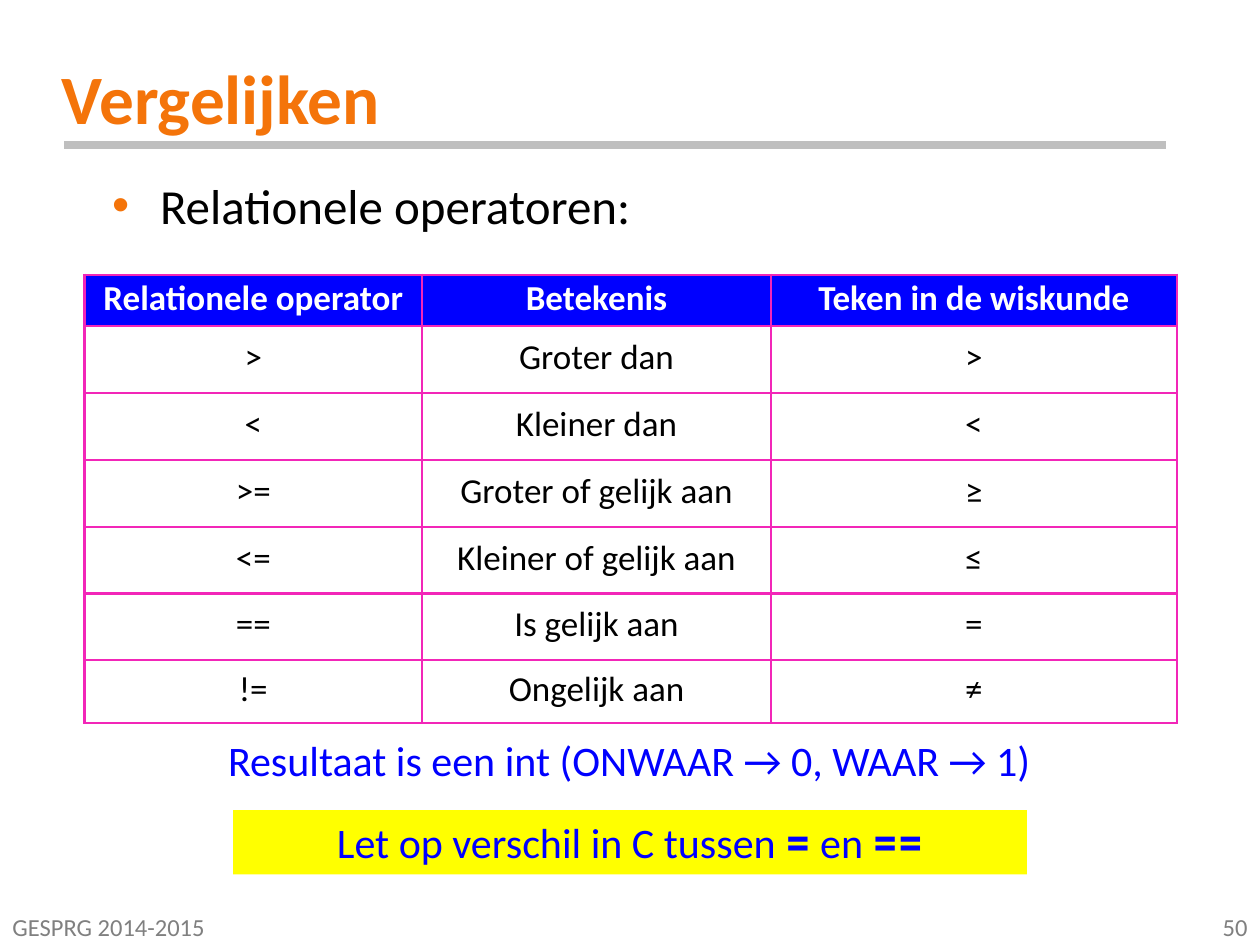
from lxml import etree
from pptx import Presentation
from pptx import util as u
from pptx.dml.color import RGBColor
from pptx.enum import shapes, text
from pptx.oxml import ns

ORANGE = RGBColor(0xF4, 0x74, 0x0A)
BLUE = RGBColor(0x00, 0x00, 0xFF)
YELLOW = RGBColor(0xFF, 0xFF, 0x00)
PINK = RGBColor(0xF2, 0x26, 0xB8)
SILVER = RGBColor(0xBF, 0xBF, 0xBF)
GRAY = RGBColor(0x80, 0x80, 0x80)
BLACK = RGBColor(0x00, 0x00, 0x00)
WHITE = RGBColor(0xFF, 0xFF, 0xFF)

FONT = "Calibri"
CODE_FONT = "Noto Sans Mono"
COLUMN_WIDTHS = [2.68, 2.77, 3.22]
ROW_HEIGHTS = [0.4] + [0.53] * 5 + [0.5]
OPERATORS = [
    ("Relationele operator", "Betekenis", "Teken in de wiskunde"),
    (">", "Groter dan", ">"),
    ("<", "Kleiner dan", "<"),
    (">=", "Groter of gelijk aan", "≥"),
    ("<=", "Kleiner of gelijk aan", "≤"),
    ("==", "Is gelijk aan", "="),
    ("!=", "Ongelijk aan", "≠"),
]


def add_element(parent, tag, **attributes):
    return etree.SubElement(parent, ns.qn(tag), attributes)


def add_run(paragraph, content, size, color, bold=False, font=FONT):
    run = paragraph.add_run()
    run.text = content
    run.font.name = font
    run.font.size = u.Pt(size)
    run.font.bold = bold
    run.font.color.rgb = color


def place(shape, left, top, width, height):
    shape.left, shape.top = u.Inches(left), u.Inches(top)
    shape.width, shape.height = u.Inches(width), u.Inches(height)


def add_title(slide, content):
    title = slide.shapes.title
    place(title, 0.39, 0.39, 8.18, 0.75)
    title.text_frame.vertical_anchor = text.MSO_ANCHOR.MIDDLE
    paragraph = title.text_frame.paragraphs[0]
    paragraph.alignment = text.PP_ALIGN.LEFT
    add_run(paragraph, content, 39.6, ORANGE, bold=True)


def add_rule(slide):
    rule = slide.shapes.add_connector(
        shapes.MSO_CONNECTOR.STRAIGHT,
        u.Inches(0.51), u.Inches(1.15), u.Inches(9.25), u.Inches(1.15))
    rule.line.color.rgb = SILVER
    rule.line.width = u.Pt(4.5)
    add_element(rule._element.spPr, "a:effectLst")


def add_bullet(slide, content):
    body = slide.placeholders[1]
    place(body, 0.79, 1.34, 9.21, 0.6)
    paragraph = body.text_frame.paragraphs[0]
    properties = paragraph._p.get_or_add_pPr()
    indent = u.Inches(0.38)
    properties.set("marL", str(indent))
    properties.set("indent", str(-indent))
    bullet_color = add_element(properties, "a:buClr")
    add_element(bullet_color, "a:srgbClr", val=str(ORANGE))
    add_element(properties, "a:buFont", typeface="Arial")
    add_element(properties, "a:buChar", char="•")
    paragraph.space_before = u.Pt(0)
    add_run(paragraph, content, 28, BLACK)


def add_borders(cell):
    properties = cell._tc.get_or_add_tcPr()
    for side in ("a:lnL", "a:lnR", "a:lnT", "a:lnB"):
        border = add_element(properties, side, w=str(u.Pt(1.5)))
        fill = add_element(border, "a:solidFill")
        add_element(fill, "a:srgbClr", val=str(PINK))


def format_cell(cell, content, is_header):
    cell.margin_left = cell.margin_right = u.Inches(0.11)
    cell.margin_top, cell.margin_bottom = u.Inches(0.02), u.Inches(0.05)
    cell.vertical_anchor = text.MSO_ANCHOR.MIDDLE
    add_borders(cell)
    if is_header:
        cell.fill.solid()
        cell.fill.fore_color.rgb = BLUE
    else:
        cell.fill.background()
    paragraph = cell.text_frame.paragraphs[0]
    paragraph.alignment = text.PP_ALIGN.CENTER
    add_run(paragraph, content, 20, WHITE if is_header else BLACK, bold=is_header)


def add_operator_table(slide):
    table = slide.shapes.add_table(
        len(OPERATORS), len(COLUMN_WIDTHS), u.Inches(0.67), u.Inches(2.18),
        u.Inches(sum(COLUMN_WIDTHS)), u.Inches(sum(ROW_HEIGHTS))).table
    table.horz_banding = False
    for column, width in zip(table.columns, COLUMN_WIDTHS):
        column.width = u.Inches(width)
    for row_index, (row, height) in enumerate(zip(table.rows, ROW_HEIGHTS)):
        row.height = u.Inches(height)
        for cell, content in zip(row.cells, OPERATORS[row_index]):
            format_cell(cell, content, row_index == 0)


def add_text(slide, box, content, size, color, alignment, anchor, wrap=True):
    shape = slide.shapes.add_textbox(*map(u.Inches, box))
    shape.text_frame.word_wrap = wrap
    shape.text_frame.vertical_anchor = anchor
    paragraph = shape.text_frame.paragraphs[0]
    paragraph.alignment = alignment
    add_run(paragraph, content, size, color)


def add_warning(slide):
    shape = slide.shapes.add_shape(
        shapes.MSO_SHAPE.RECTANGLE, *map(u.Inches, (1.85, 6.43, 6.3, 0.51)))
    shape.shadow.inherit = False
    shape.fill.solid()
    shape.fill.fore_color.rgb = YELLOW
    shape.line.fill.background()
    shape.text_frame.word_wrap = True
    shape.text_frame.vertical_anchor = text.MSO_ANCHOR.TOP
    paragraph = shape.text_frame.paragraphs[0]
    paragraph.alignment = text.PP_ALIGN.CENTER
    for content, is_code in (("Let op verschil in C tussen ", False), ("=", True),
                             (" en ", False), ("==", True)):
        add_run(paragraph, content, 24, BLUE, bold=is_code,
                font=CODE_FONT if is_code else FONT)


def main():
    presentation = Presentation()
    presentation.slide_width = u.Inches(10)
    presentation.slide_height = u.Inches(7.5)
    slide = presentation.slides.add_slide(presentation.slide_layouts[1])
    add_rule(slide)
    add_title(slide, "Vergelijken")
    add_operator_table(slide)
    add_bullet(slide, "Relationele operatoren:")
    add_text(slide, (1.66, 5.78, 6.67, 0.51),
             "Resultaat is een int (ONWAAR → 0, WAAR → 1)", 24, BLUE,
             text.PP_ALIGN.CENTER, text.MSO_ANCHOR.TOP, wrap=False)
    add_warning(slide)
    for left, content, alignment in (
            (0, "GESPRG 2014-2015", text.PP_ALIGN.LEFT),
            (7.67, "50", text.PP_ALIGN.RIGHT)):
        add_text(slide, (left, 7.21, 2.33, 0.29), content, 14, GRAY,
                 alignment, text.MSO_ANCHOR.MIDDLE)
    presentation.save("out.pptx")


if __name__ == "__main__":
    main()
